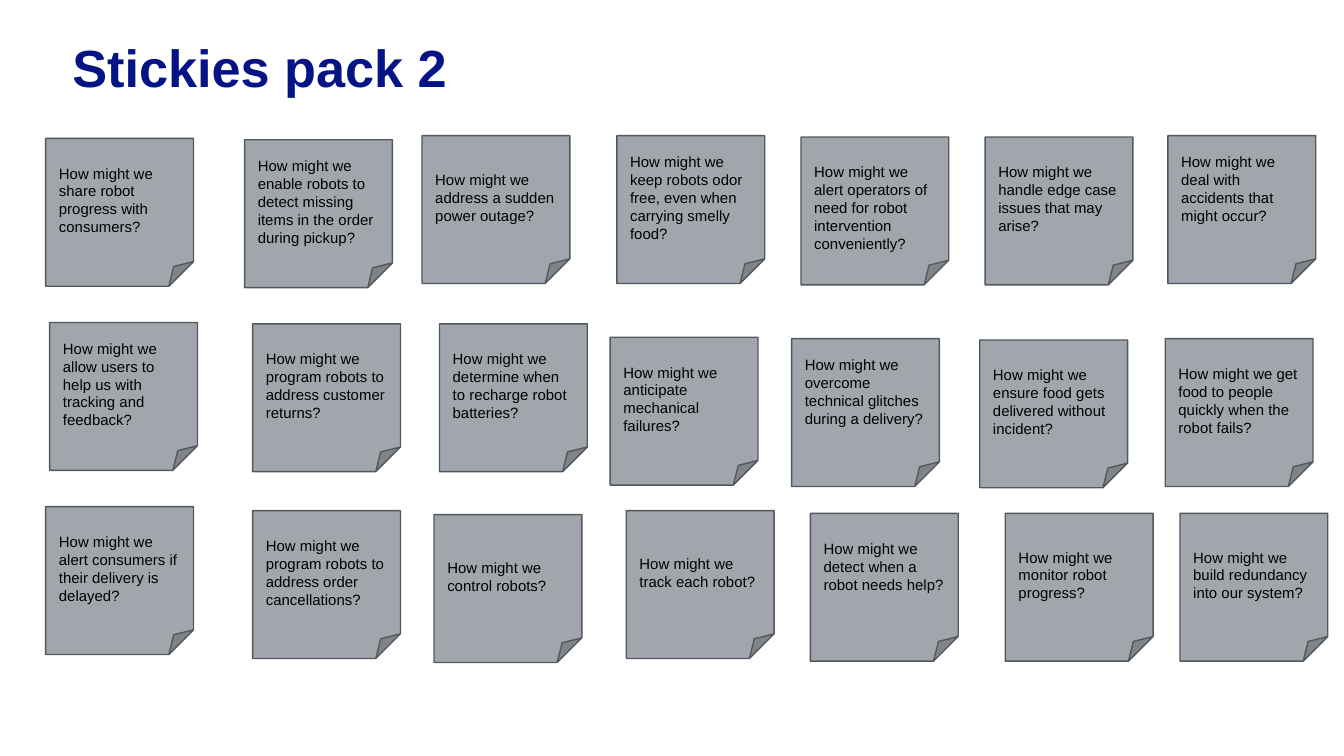
from pptx import Presentation
from pptx.dml.color import RGBColor
from pptx.enum import shapes, text
from pptx.util import Inches, Pt

COLORS = {"title": "051485", "paper": "A1A6AC", "edge": "53585F", "ink": "000000"}
NOTE_SIZE = 1.1
INSET = 0.1
LINE_HEIGHT = 0.13

NOTE_ROWS = [
    [
        (0.34, 1.03, "share robot progress with consumers?", 0),
        (1.82, 1.04, "enable robots to detect missing items in the order during pickup?", 0),
        (3.14, 1.01, "address a sudden power outage?", 0),
        (4.59, 1.01, "keep robots odor free, even when carrying smelly food?", 0),
        (5.96, 1.02, "alert operators of need for robot intervention conveniently?", -1),
        (7.33, 1.02, "handle edge case issues that may arise?", 0),
        (8.69, 1.01, "deal with accidents that might occur?", 1),
    ],
    [
        (0.37, 2.4, "allow users to help us with tracking and feedback?", 0),
        (1.88, 2.41, "program robots to address customer returns?", 0),
        (3.27, 2.41, "determine when to recharge robot batteries?", 0),
        (4.54, 2.51, "anticipate mechanical failures?", 0),
        (5.89, 2.52, "overcome technical glitches during a delivery?", 1),
        (7.29, 2.53, "ensure food gets delivered without incident?", 0),
        (8.67, 2.52, "get food to people quickly when the robot fails?", 0),
    ],
    [
        (0.34, 3.77, "alert consumers if their delivery is delayed?", 0),
        (1.88, 3.8, "program robots to address order cancellations?", 0),
        (3.23, 3.83, "control robots?", 0),
        (4.66, 3.8, "track each robot?", 0),
        (6.03, 3.82, "detect when a robot needs help?", 1),
        (7.48, 3.82, "monitor robot progress?", 0),
        (8.78, 3.82, "build redundancy into our system?", 0),
    ],
]


def write_text(holder, words, size, color, bold=False,
               anchor=text.MSO_ANCHOR.TOP, lines_below=0):
    frame = holder.text_frame
    frame.word_wrap = True
    frame.auto_size = text.MSO_AUTO_SIZE.NONE
    frame.vertical_anchor = anchor
    frame.margin_left = frame.margin_right = Inches(INSET)
    frame.margin_top = Inches(INSET + LINE_HEIGHT * max(-lines_below, 0))
    frame.margin_bottom = Inches(INSET + LINE_HEIGHT * max(lines_below, 0))
    paragraph = frame.paragraphs[0]
    paragraph.alignment = text.PP_ALIGN.LEFT
    run = paragraph.add_run()
    run.text = words
    run.font.name = "Arial"
    run.font.size = Pt(size)
    run.font.bold = bold
    run.font.color.rgb = RGBColor.from_string(COLORS[color])


def add_title(slide, left, top, width, height):
    title = slide.shapes.add_textbox(
        Inches(left), Inches(top), Inches(width), Inches(height))
    write_text(title, "Stickies pack 2", size=28, color="title", bold=True)


def add_note(slide, left, top, question, lines_below):
    note = slide.shapes.add_shape(
        shapes.MSO_SHAPE.FOLDED_CORNER,
        Inches(left), Inches(top), Inches(NOTE_SIZE), Inches(NOTE_SIZE))
    note.shadow.inherit = False
    note.fill.solid()
    note.fill.fore_color.rgb = RGBColor.from_string(COLORS["paper"])
    note.line.color.rgb = RGBColor.from_string(COLORS["edge"])
    note.line.width = Pt(0.75)
    write_text(note, f"How might we {question}", size=8, color="ink",
               anchor=text.MSO_ANCHOR.MIDDLE, lines_below=lines_below)


def main():
    deck = Presentation()
    deck.slide_width = Inches(10)
    deck.slide_height = deck.slide_width * 9 // 16
    slide = deck.slides.add_slide(deck.slide_layouts[6])
    add_title(slide, 0.44, 0.16, 9.32, 0.63)
    for row in NOTE_ROWS:
        for left, top, question, lines_below in row:
            add_note(slide, left, top, question, lines_below)
    deck.save("out.pptx")


if __name__ == "__main__":
    main()
